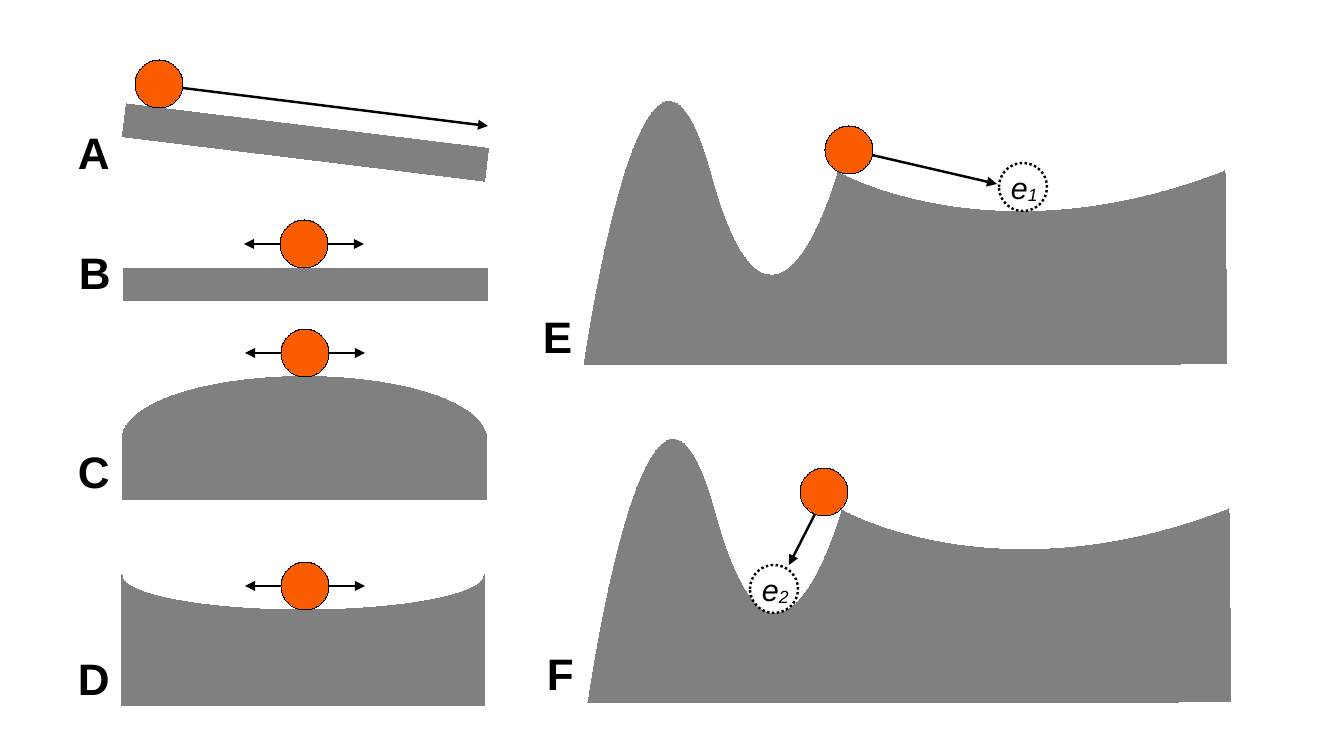
from lxml import etree
from pptx import Presentation
from pptx.dml.color import RGBColor
from pptx.enum.dml import MSO_LINE
from pptx.enum.shapes import MSO_CONNECTOR, MSO_SHAPE
from pptx.oxml.ns import qn
from pptx.util import Emu, Pt

PX = 914400 / 122
WIDTH, HEIGHT = 1344, 756
GREY = RGBColor(0x80, 0x80, 0x80)
ORANGE = RGBColor(0xFC, 0x5C, 0x00)
BLACK = RGBColor(0, 0, 0)
WHITE = RGBColor(0xFF, 0xFF, 0xFF)
FONT = "Arial"
LINE_WIDTH = Pt(1.45)

# kind, left, top, width, height, rotation, colour
GROUNDS = [
    (MSO_SHAPE.FLOWCHART_STORED_DATA, 198, 499, 210, 362, 270, GREY),
    (MSO_SHAPE.RECTANGLE, 123, 268, 365, 33, 0, GREY),
    (MSO_SHAPE.RECTANGLE, 123, 126, 365, 33, 7, GREY),
    (MSO_SHAPE.FLOWCHART_DELAY, 243, 256, 123, 364, 270, GREY),
    (MSO_SHAPE.RECTANGLE, 90, 707, 404, 93, 0, WHITE),
]
# Landscape outline: start, three Bezier curves (two controls and an end), corner
LANDSCAPE_START = (1225, 171)
LANDSCAPE_CURVES = [
    ((993, 262), (838, 172), (838, 172)),
    ((838, 172), (773, 405), (710, 171)),
    ((645, -62), (584, 365), (584, 365)),
]
LANDSCAPE_CORNER = (1227, 364)
LANDSCAPE_PEAK = (668, 101)
LANDSCAPE_OFFSETS = [(0, 0), (4, 338)]

BALL = 48
SLOPE_BALLS = [(159, 84), (849, 150), (824, 492)]
ROCKING_BALLS = [(304, 244), (305, 353), (305, 586)]
ROCKING_REACH = 60
SLOPE_ARROWS = [
    ((183, 88), (488, 126)),
    ((872, 155), (997, 184)),
    ((815, 514), (789, 565)),
]
# subscript, left, top
TARGETS = [("2", 750, 565), ("1", 999, 163)]
# letter, left, top, width
LABELS = [
    ("A", 66, 120, 56), ("B", 67, 239, 56), ("C", 66, 439, 56),
    ("D", 66, 645, 56), ("E", 531, 304, 54), ("F", 535, 641, 51),
]


def px(*lengths):
    return [Emu(round(length * PX)) for length in lengths]


def paint(shape, fill, line, width=0):
    shape.shadow.inherit = False
    shape.fill.solid()
    shape.fill.fore_color.rgb = fill
    shape.line.color.rgb = line
    # A zero width has to be written out, or the theme's width is used
    shape.line._get_or_add_ln().set("w", str(int(width)))


def add_ball(shapes, center_x, center_y):
    ball = shapes.add_shape(
        MSO_SHAPE.OVAL, *px(center_x - BALL / 2, center_y - BALL / 2, BALL, BALL))
    paint(ball, ORANGE, BLACK)


def add_arrow(shapes, start, end):
    arrow = shapes.add_connector(MSO_CONNECTOR.STRAIGHT, *px(*start, *end))
    arrow.line.color.rgb = BLACK
    arrow.line.width = LINE_WIDTH
    etree.SubElement(arrow.line._get_or_add_ln(), qn("a:tailEnd"), type="triangle")
    etree.SubElement(arrow._element.spPr, qn("a:effectLst"))


def add_landscape(shapes, offset_x, offset_y):
    """Size a freeform by its anchors and peak, then outline it with curves."""
    def place(point):
        return px(point[0] + offset_x, point[1] + offset_y)

    anchors = [curve[-1] for curve in LANDSCAPE_CURVES]
    builder = shapes.build_freeform(*place(LANDSCAPE_START))
    builder.add_line_segments(
        [place(point) for point in [*anchors, LANDSCAPE_CORNER, LANDSCAPE_PEAK]])
    landscape = builder.convert_to_shape()
    paint(landscape, GREY, GREY)

    outline = landscape._element.spPr.find(".//" + qn("a:path"))
    for segment in list(outline):
        outline.remove(segment)
    segments = [("a:moveTo", [LANDSCAPE_START])]
    segments += [("a:cubicBezTo", curve) for curve in LANDSCAPE_CURVES]
    segments += [("a:lnTo", [LANDSCAPE_CORNER]), ("a:close", [])]
    for tag, points in segments:
        segment = etree.SubElement(outline, qn(tag))
        for point in points:
            x, y = place(point)
            etree.SubElement(segment, qn("a:pt"), x=str(x - landscape.left),
                             y=str(y - landscape.top))


def add_text(shapes, text, left, top, width, height, size):
    """Add an unwrapped text box and return its paragraph."""
    box = shapes.add_textbox(*px(left, top, width, height))
    box.text_frame.word_wrap = False
    box.text_frame.text = text
    paragraph = box.text_frame.paragraphs[0]
    style_run(paragraph.runs[0], size)
    return paragraph


def style_run(run, size):
    run.font.name, run.font.size, run.font.color.rgb = FONT, Pt(size), BLACK


def add_target(shapes, subscript, left, top):
    circle = shapes.add_shape(MSO_SHAPE.OVAL, *px(left, top, BALL, BALL))
    paint(circle, WHITE, BLACK, LINE_WIDTH)
    circle.line.dash_style = MSO_LINE.ROUND_DOT
    paragraph = add_text(shapes, "e", left, top, 51, 46, 18)
    index = paragraph.add_run()
    index.text = subscript
    style_run(index, 18)
    index._r.get_or_add_rPr().set("baseline", "-8000")
    for run in paragraph.runs:
        run.font.italic = True


def main():
    presentation = Presentation()
    presentation.slide_width, presentation.slide_height = px(WIDTH, HEIGHT)
    slide = presentation.slides.add_slide(presentation.slide_layouts[6])
    shapes = slide.shapes

    for kind, left, top, width, height, rotation, colour in GROUNDS:
        ground = shapes.add_shape(kind, *px(left, top, width, height))
        ground.rotation = rotation
        paint(ground, colour, colour)
    for offset in LANDSCAPE_OFFSETS:
        add_landscape(shapes, *offset)

    for center in SLOPE_BALLS + ROCKING_BALLS:
        add_ball(shapes, *center)
    for x, y in ROCKING_BALLS:
        for side in (1, -1):
            add_arrow(shapes, (x + side * BALL / 2, y), (x + side * ROCKING_REACH, y))
    for start, end in SLOPE_ARROWS:
        add_arrow(shapes, start, end)

    for target in TARGETS:
        add_target(shapes, *target)
    for letter, left, top, width in LABELS:
        paragraph = add_text(shapes, letter, left, top, width, 61, 26)
        paragraph.runs[0].font.bold = True

    presentation.save("out.pptx")


if __name__ == "__main__":
    main()
